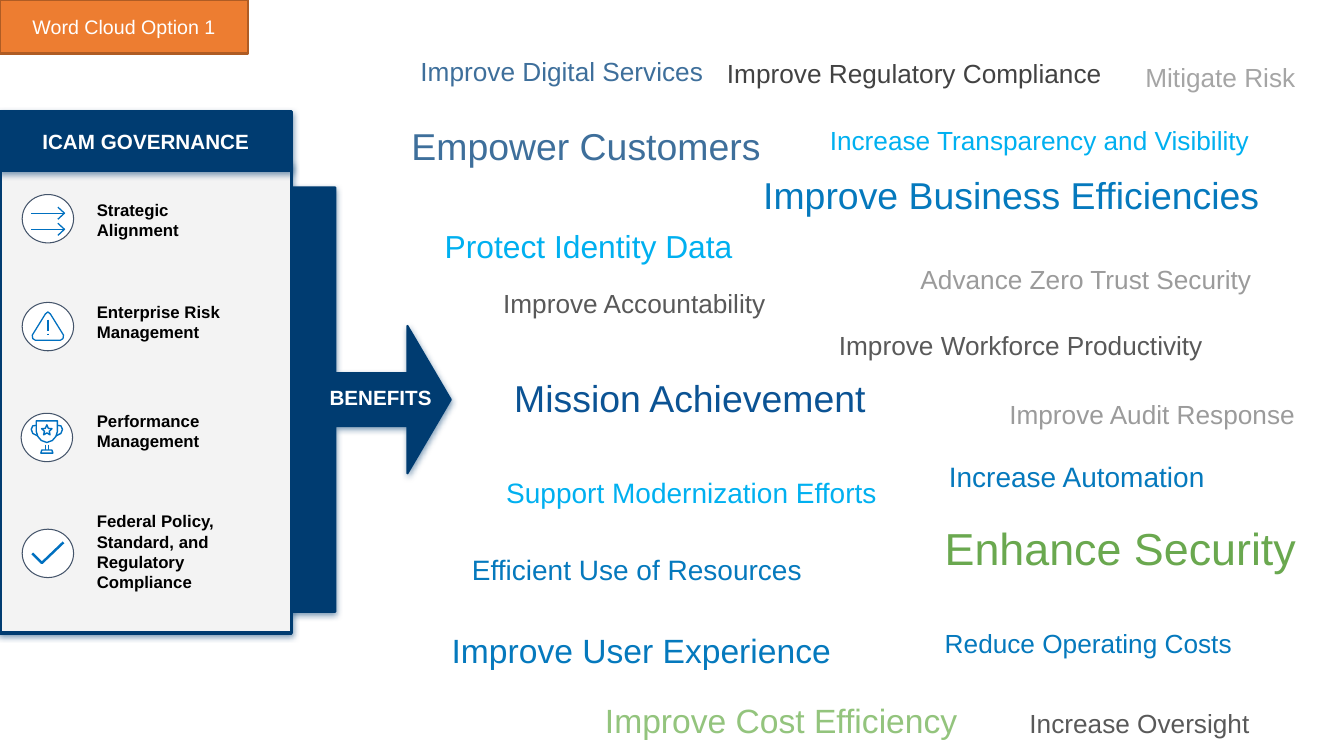
from math import cos, pi, sin

from lxml.etree import SubElement
from pptx import Presentation
from pptx.dml.color import RGBColor
from pptx.enum.shapes import MSO_SHAPE
from pptx.enum.text import MSO_ANCHOR, MSO_AUTO_SIZE, PP_ALIGN
from pptx.oxml.ns import qn
from pptx.util import Inches, Pt

NAVY = RGBColor(0x00, 0x3C, 0x71)
ROYAL = RGBColor(0x0B, 0x53, 0x94)
STEEL = RGBColor(0x3E, 0x6F, 0x9B)
BLUE = RGBColor(0x05, 0x79, 0xBD)
SKY = RGBColor(0x00, 0xB0, 0xF0)
ICON_BLUE = RGBColor(0x00, 0x70, 0xC0)
GREEN = RGBColor(0x6A, 0xA8, 0x4F)
LIGHT_GREEN = RGBColor(0x93, 0xC4, 0x7D)
CHARCOAL = RGBColor(0x42, 0x42, 0x42)
DARK_GRAY = RGBColor(0x59, 0x59, 0x59)
GRAY = RGBColor(0x9B, 0x9B, 0x9B)
SILVER = RGBColor(0xA5, 0xA5, 0xA5)
PALE = RGBColor(0xF3, 0xF3, 0xF3)
SLATE = RGBColor(0x44, 0x54, 0x6A)
ORANGE = RGBColor(0xED, 0x7D, 0x31)
RUST = RGBColor(0xAF, 0x5C, 0x24)
WHITE = RGBColor(0xFF, 0xFF, 0xFF)
BLACK = RGBColor(0x00, 0x00, 0x00)

BENEFITS = [
    ("Mission Achievement", 5.03, 3.68, 6.89, 0.91, 26.7, ROYAL),
    ("Empower Customers", 4.01, 1.18, 8.62, 0.62, 26.7, STEEL),
    ("Enhance Security", 9.3, 5.13, 4.03, 0.57, 32, GREEN),
    ("Improve User Experience", 4.41, 6.21, 5.64, 0.81, 24, BLUE),
    ("Reduce Operating Costs", 9.3, 6.18, 3.99, 0.73, 18.7, BLUE),
    ("Improve Workforce Productivity", 8.25, 3.23, 5.08, 0.73, 18.7, DARK_GRAY),
    ("Improve Regulatory Compliance", 7.14, 0.53, 5.65, 0.73, 18.7, CHARCOAL),
    ("Efficient Use of Resources", 4.61, 5.44, 4.85, 0.73, 20, BLUE),
    ("Increase Oversight", 10.14, 6.98, 3.18, 0.52, 18.7, DARK_GRAY),
    ("Increase Automation", 9.34, 4.52, 3.99, 0.73, 20, BLUE),
    ("Advance Zero Trust Security", 9.06, 2.57, 4.27, 0.55, 18.7, GRAY),
    ("Increase Transparency and Visibility", 8.16, 1.19, 4.72, 0.44, 18.7, SKY),
    ("Improve Cost Efficiency", 5.93, 6.9, 6.08, 0.6, 24, LIGHT_GREEN),
    ("Mitigate Risk", 11.29, 0.57, 2.04, 0.73, 18.7, SILVER),
    ("Protect Identity Data", 4.34, 2.21, 5.91, 0.57, 22.7, SKY),
    ("Improve Audit Response", 9.94, 3.91, 3.25, 0.55, 18.7, GRAY),
    ("Improve Accountability", 4.92, 2.81, 6.29, 0.73, 18.7, DARK_GRAY),
    ("Support Modernization Efforts", 4.95, 4.68, 6.89, 0.91, 20, SKY),
    ("Improve Digital Services", 4.1, 0.51, 3.62, 0.62, 18.7, STEEL),
]

ARROWS = [stroke for y in (18.5, 34.5) for stroke in (
    ([(9, y), (42, y)], False),
    ([(35.5, y - 6), (42, y), (35.5, y + 6)], False))]
WARNING = [
    ([(23, 11.5), (25.5, 9.5), (28, 11.5), (41, 32.5), (40.5, 36), (38, 37.5),
      (13, 37.5), (10.5, 36), (10, 32.5)], True),
    ([(25.5, 17), (25.5, 28)], False),
    ([(25.5, 31), (25.5, 32.5)], False),
]
HANDLE = [(15, 12), (11.5, 12.5), (10, 16), (11.5, 20), (16.5, 22.5)]
STAR = [(25.5 + radius * sin(i * pi / 5), 17 - radius * cos(i * pi / 5))
        for i, radius in enumerate((5.5, 2.5) * 5)]
TROPHY = [
    ([(15, 7.5), (36, 7.5), (36, 18), (34.5, 23), (31, 27), (25.5, 29),
      (20, 27), (16.5, 23), (15, 18)], True),
    (HANDLE, False),
    ([(51 - x, y) for x, y in HANDLE], False),
    (STAR, True),
    ([(24, 31), (24, 36.5)], False),
    ([(27, 31), (27, 36.5)], False),
    ([(20.5, 36.5), (30.5, 36.5), (31.5, 39.5), (19.5, 39.5)], True),
]
CHECK = [([(10, 24), (19.5, 33.5), (41, 13)], False)]

GOVERNANCE = [
    ("Strategic Alignment", 1.94, 1.5, 0.48, 0.22, 1.93, ARROWS, 0.9),
    ("Enterprise Risk Management", 2.95, 1.75, 0.48, 0.22, 3, WARNING, 0.9),
    ("Performance Management", 4.03, 1.85, 0.48, 0.21, 4.1, TROPHY, 1),
    ("Federal Policy, Standard, and Regulatory Compliance",
     5.03, 1.5, 0.88, 0.22, 5.25, CHECK, 1.75),
]


class GovernanceSlide:
    """Draws the elements of one slide in a shared style."""

    font = "Arial"

    def __init__(self, slide):
        self.slide = slide

    def fill_text(self, holder, text, size, color, bold=False, align=PP_ALIGN.LEFT,
                  anchor=MSO_ANCHOR.TOP, insets=(0.07, 0.04)):
        """Fill a text frame with one formatted run."""
        frame = holder.text_frame
        frame.word_wrap = True
        frame.auto_size = MSO_AUTO_SIZE.NONE
        frame.vertical_anchor = anchor
        frame.margin_left = frame.margin_right = Inches(insets[0])
        frame.margin_top = frame.margin_bottom = Inches(insets[1])
        paragraph = frame.paragraphs[0]
        paragraph.alignment = align
        run = paragraph.add_run()
        run.text = text
        run.font.name = self.font
        run.font.size = Pt(size)
        run.font.bold = bold
        run.font.color.rgb = color

    def paint(self, shape, fill, line, weight):
        """Set the fill and outline of a shape."""
        shape.fill.solid()
        shape.fill.fore_color.rgb = fill
        shape.line.color.rgb = line
        shape.line.width = Pt(weight)

    def title(self, text, left, top, width, height):
        """Place the title as an orange tag."""
        tag = self.slide.shapes.title
        tag.left, tag.top = Inches(left), Inches(top)
        tag.width, tag.height = Inches(width), Inches(height)
        self.paint(tag, ORANGE, RUST, 2)
        self.fill_text(tag, text, 14, WHITE, align=PP_ALIGN.CENTER,
                       anchor=MSO_ANCHOR.MIDDLE, insets=(0.1, 0.05))

    def text(self, text, left, top, width, height, size, color, **style):
        """Add a text box."""
        box = self.slide.shapes.add_textbox(
            Inches(left), Inches(top), Inches(width), Inches(height))
        self.fill_text(box, text, size, color, **style)

    def shape(self, kind, left, top, width, height, fill, line, weight):
        """Add a preset shape without a shadow."""
        shape = self.slide.shapes.add_shape(
            kind, Inches(left), Inches(top), Inches(width), Inches(height))
        shape.shadow.inherit = False
        self.paint(shape, fill, line, weight)
        return shape

    def panel(self, kind, left, top, width, height, fill, weight):
        """Add a navy-edged shape with a soft navy shadow."""
        panel = self.shape(kind, left, top, width, height, fill, NAVY, weight)
        effects = panel._element.spPr.find(qn("a:effectLst"))
        shadow = SubElement(effects, qn("a:outerShdw"), blurRad=str(Pt(4.5)),
                            dist=str(Pt(1.5)), dir="5400000", rotWithShape="0")
        tint = SubElement(shadow, qn("a:srgbClr"), val=str(NAVY))
        SubElement(tint, qn("a:alpha"), val="50000")
        return panel

    def icon(self, left, top, strokes, weight):
        """Add a round badge with strokes given in hundredths of an inch from its corner."""
        self.shape(MSO_SHAPE.OVAL, left, top, 0.51, 0.48, WHITE, SLATE, 0.75)
        builder = None
        for points, closed in strokes:
            start, *rest = [(round(x * 10), round(y * 10)) for x, y in points]
            if builder is None:
                builder = self.slide.shapes.build_freeform(*start, scale=Inches(1) / 1000)
            else:
                builder.move_to(*start)
            builder.add_line_segments(rest, close=closed)
        drawing = builder.convert_to_shape(Inches(left), Inches(top))
        drawing.shadow.inherit = False
        drawing.fill.background()
        drawing.line.color.rgb = ICON_BLUE
        drawing.line.width = Pt(weight)


def main():
    """Build and save the slide."""
    deck = Presentation()
    deck.slide_width, deck.slide_height = Inches(13.33), Inches(7.5)
    page = GovernanceSlide(deck.slides.add_slide(deck.slide_layouts[5]))
    heading = {"bold": True, "align": PP_ALIGN.CENTER, "anchor": MSO_ANCHOR.MIDDLE}

    page.title("Word Cloud Option 1", 0, 0, 2.46, 0.53)
    callout = page.panel(MSO_SHAPE.RIGHT_ARROW_CALLOUT, 2.88, 1.86, 1.59, 4.21, NAVY, 1.5)
    for index, value in enumerate((0.33, 0.46, 0.27, 0.28)):
        callout.adjustments[index] = value
    for benefit in BENEFITS:
        page.text(*benefit)
    page.text("Improve Business Efficiencies", 3.95, 1.67, 8.62, 0.55, 26.7, BLUE,
              align=PP_ALIGN.RIGHT)

    page.panel(MSO_SHAPE.RECTANGLE, 0, 1.62, 2.89, 4.66, PALE, 2.25)
    for label, top, width, height, icon_left, icon_top, strokes, weight in GOVERNANCE:
        page.text(label, 0.89, top, width, height, 12, BLACK, bold=True)
        page.icon(icon_left, icon_top, strokes, weight)
    header = page.panel(MSO_SHAPE.RECTANGLE, 0, 1.11, 2.89, 0.58, NAVY, 2.25)
    page.fill_text(header, "ICAM GOVERNANCE", 14.7, WHITE, **heading)
    page.text("BENEFITS", 2.72, 3.63, 2.11, 0.62, 14.7, WHITE, **heading)
    deck.save("out.pptx")


if __name__ == "__main__":
    main()
